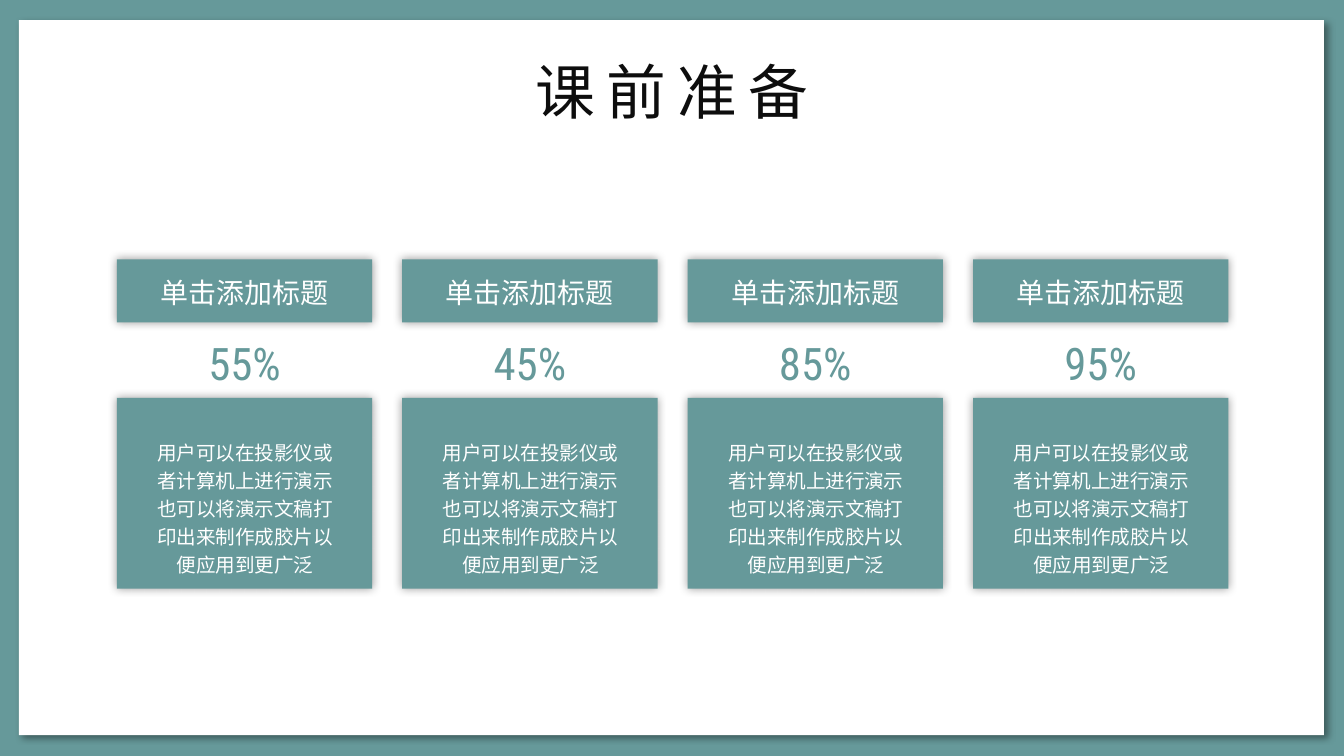
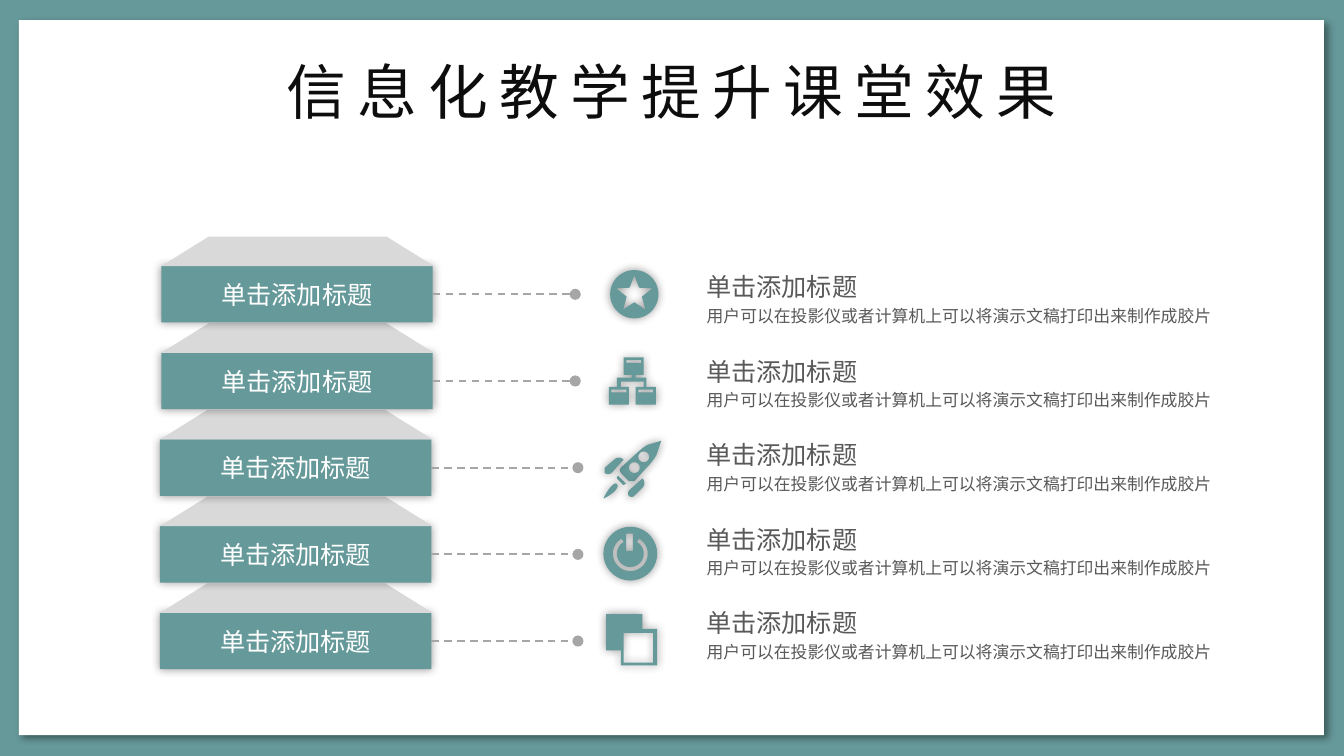
from dataclasses import dataclass
from math import cos, radians, sin
from typing import NamedTuple, Optional

from pptx import Presentation
from pptx.dml.color import RGBColor
from pptx.enum.dml import MSO_LINE
from pptx.enum.shapes import MSO_CONNECTOR, MSO_SHAPE
from pptx.enum.text import MSO_ANCHOR as Anchor, PP_ALIGN as Align
from pptx.oxml.ns import qn
from pptx.util import Inches, Pt
from lxml.etree import SubElement


@dataclass(frozen=True)
class Theme:
    teal: str = "66999A"
    white: str = "FFFFFF"
    ink: str = "0D0D0D"
    body: str = "595959"
    silver: str = "D9D9D9"
    line: str = "A6A6A6"
    cjk: str = "Noto Sans CJK SC"
    digits: str = "Roboto Condensed"
    title_size: float = 32
    figure_size: float = 24
    header_size: float = 15
    label_size: float = 13.5
    card_size: float = 10.5
    note_size: float = 9


class Area(NamedTuple):
    left: float
    top: float
    width: float
    height: float


class Style(NamedTuple):
    size: float
    color: str
    align: Align = Align.CENTER
    leading: Optional[float] = 1.2  # line height as a multiple of the type size
    font: str = Theme.cjk
    tracking: float = 0


class Shadow(NamedTuple):
    blur: float
    distance: float
    angle: int


class Step(NamedTuple):
    left: float
    line_end: float
    icon: list


THEME = Theme()
LOOSE = 1.43
TITLE = Style(THEME.title_size, THEME.ink, tracking=6)
HEADER = Style(THEME.header_size, THEME.white)
FIGURE = Style(THEME.figure_size, THEME.teal, leading=None, font=THEME.digits)
CARD_TEXT = Style(THEME.card_size, THEME.white, leading=LOOSE)
TILE_LABEL = Style(THEME.label_size, THEME.white)
STEP_LABEL = Style(THEME.label_size, THEME.body, Align.LEFT, LOOSE)
STEP_NOTE = Style(THEME.note_size, THEME.body, Align.LEFT, LOOSE)
PANEL_SHADOW = Shadow(4, 3, 45)
GLOW = Shadow(5, 0, 0)

LABEL = "单击添加标题"
CARD_BODY = "用户可以在投影仪或者计算机上进行演示也可以将演示文稿打印出来制作成胶片以便应用到更广泛"
NOTE_BODY = "用户可以在投影仪或者计算机上可以将演示文稿打印出来制作成胶片"
FIGURES = ("55%", "45%", "85%", "95%")
FIRST_CARD, LAST_CARD = 0.87, 7.24


def circle(x: float, y: float, radius: float, start: int = 0, stop: int = 360) -> list:
    """Points along an arc, in degrees clockwise from the top."""
    step = 10 if stop > start else -10
    return [(x + radius * sin(radians(a)), y - radius * cos(radians(a)))
            for a in range(start, stop + step // 10, step)]


def star(x: float, y: float, outer: float, inner: float) -> list:
    return [circle(x, y, inner if i % 2 else outer, 36 * i, 36 * i + 1)[0] for i in range(10)]


def rectangle(left: float, top: float, right: float, bottom: float) -> list:
    return [(left, top), (right, top), (right, bottom), (left, bottom)]


def curved(*nodes: tuple) -> list:
    """Flatten nodes: two numbers make a line, six a Bezier curve."""
    points = []
    for node in nodes:
        if len(node) == 2:
            points.append(node)
            continue
        controls = [points[-1], node[:2], node[2:4], node[4:]]
        for t in (i / 8 for i in range(1, 9)):
            weights = ((1 - t) ** 3, 3 * t * (1 - t) ** 2, 3 * t * t * (1 - t), t ** 3)
            points.append(tuple(sum(w * c[axis] for w, c in zip(weights, controls))
                                for axis in (0, 1)))
    return points


# Each icon is a list of shapes, and each shape a list of outlines.
STAR = [[circle(4.72, 2.19, 0.18), star(4.72, 2.19, 0.14, 0.06)]]
NETWORK = [[
    [(4.81, 2.88), (4.81, 2.81), (4.73, 2.81), (4.73, 2.79), (4.79, 2.79), (4.79, 2.66),
     (4.64, 2.66), (4.64, 2.79), (4.7, 2.79), (4.7, 2.81), (4.59, 2.81), (4.59, 2.88),
     (4.53, 2.88), (4.53, 3.01), (4.68, 3.01), (4.68, 2.88), (4.62, 2.88), (4.62, 2.84),
     (4.79, 2.84), (4.79, 2.88), (4.73, 2.88), (4.73, 3.01), (4.88, 3.01), (4.88, 2.88)],
    rectangle(4.55, 2.9, 4.66, 2.92),
    rectangle(4.66, 2.68, 4.77, 2.7),
    rectangle(4.75, 2.9, 4.86, 2.92),
]]
ROCKET = [
    [curved((4.82, 3.31), (4.8, 3.32, 4.76, 3.35, 4.74, 3.37), (4.62, 3.48),
            (4.61, 3.49, 4.61, 3.51, 4.62, 3.52), (4.68, 3.58),
            (4.69, 3.58, 4.71, 3.58, 4.72, 3.58), (4.83, 3.46),
            (4.85, 3.44, 4.88, 3.4, 4.89, 3.37), (4.92, 3.28)),
     circle(4.72, 3.48, 0.04), circle(4.79, 3.4, 0.04)],
    [curved((4.55, 3.52), (4.64, 3.42), (4.62, 3.4, 4.59, 3.4, 4.57, 3.42), (4.5, 3.48),
            (4.5, 3.49, 4.5, 3.51, 4.5, 3.52), (4.52, 3.53, 4.53, 3.53, 4.55, 3.52))],
    [curved((4.68, 3.65), (4.67, 3.67, 4.67, 3.68, 4.68, 3.69),
            (4.69, 3.7, 4.71, 3.7, 4.72, 3.69), (4.78, 3.63),
            (4.8, 3.61, 4.8, 3.58, 4.78, 3.56))],
    [curved((4.59, 3.55), (4.59, 3.56), (4.63, 3.6), (4.63, 3.61, 4.65, 3.61, 4.65, 3.6),
            (4.66, 3.6), (4.6, 3.54))],
    [curved((4.49, 3.71), (4.54, 3.69, 4.62, 3.63, 4.59, 3.6),
            (4.57, 3.58, 4.51, 3.66, 4.49, 3.71))],
]
POWER = [[circle(4.69, 4.12, 0.2), rectangle(4.66, 3.97, 4.71, 4.1),
          circle(4.69, 4.12, 0.13, 30, 330) + circle(4.69, 4.12, 0.1, 330, 30)]]
SQUARES = [[
    [(4.78, 4.68), (4.78, 4.57), (4.51, 4.57), (4.51, 4.84),
     (4.62, 4.84), (4.62, 4.95), (4.89, 4.95), (4.89, 4.68)],
    rectangle(4.64, 4.71, 4.86, 4.93),
]]

STEPS = [Step(1.2, 4.28, STAR), Step(1.2, 4.28, NETWORK), Step(1.19, 4.3, ROCKET),
         Step(1.19, 4.3, POWER), Step(1.19, 4.3, SQUARES)]
TOWER_HEIGHT = 2.58  # from the top tile to the bottom one
NOTES_HEIGHT = 2.5  # from the first note to the last one


def inches(values: tuple) -> list:
    return [Inches(value) for value in values]


def paint(shape, color: str, shadow: Optional[Shadow] = None) -> None:
    shape.fill.solid()
    shape.fill.fore_color.rgb = RGBColor.from_string(color)
    shape.line.fill.background()
    shape.shadow.inherit = False
    if shadow:
        effects = shape.element.spPr.find(qn("a:effectLst"))
        outer = SubElement(effects, qn("a:outerShdw"), {
            "blurRad": str(Pt(shadow.blur)), "dist": str(Pt(shadow.distance)),
            "dir": str(shadow.angle * 60000), "algn": "ctr", "rotWithShape": "0"})
        black = SubElement(outer, qn("a:srgbClr"), val="000000")
        SubElement(black, qn("a:alpha"), val="40000")


def add_block(shapes, area: Area, color: str = THEME.teal,
              shadow: Optional[Shadow] = GLOW, kind: MSO_SHAPE = MSO_SHAPE.RECTANGLE):
    block = shapes.add_shape(kind, *inches(area))
    paint(block, color, shadow)
    return block


def write(box, text: str, style: Style, **frame_format) -> None:
    for name, value in {"word_wrap": True, **frame_format}.items():
        setattr(box.text_frame, name, value)
    para = box.text_frame.paragraphs[0]
    para.alignment = style.align
    if style.leading:
        para.line_spacing = Pt(style.size * style.leading)
    span = para.add_run()
    span.text = text
    for name, value in {"size": Pt(style.size), "name": style.font}.items():
        setattr(span.font, name, value)
    span.font.color.rgb = RGBColor.from_string(style.color)
    for properties in box.element.iter(qn("a:rPr")):
        SubElement(properties, qn("a:ea"), typeface=style.font)
        if style.tracking:
            properties.set("spc", str(int(style.tracking * 100)))


def add_text(shapes, area: Area, text: str, style: Style, **frame_format) -> None:
    write(shapes.add_textbox(*inches(area)), text, style, **frame_format)


def add_outline(shapes, outlines: list) -> None:
    """One freeform; outlines after the first are cut out of it."""
    builder = None
    for outline in outlines:
        first, *rest = [inches(point) for point in outline]
        if builder is None:
            builder = shapes.build_freeform(*first, scale=1.0)
        else:
            builder.move_to(*first)
        builder.add_line_segments(rest, close=True)
    paint(builder.convert_to_shape(), THEME.teal, GLOW)


def add_leader(shapes, tile, end: float) -> None:
    """Dashed line with a dot, from the tile's right side to end."""
    middle = tile.top + tile.height // 2
    leader = shapes.add_connector(MSO_CONNECTOR.STRAIGHT, tile.left + tile.width, middle,
                                  Inches(end), middle)
    leader.begin_connect(tile, 3)
    for name, value in {"width": Pt(1), "dash_style": MSO_LINE.DASH}.items():
        setattr(leader.line, name, value)
    leader.line.color.rgb = RGBColor.from_string(THEME.line)
    SubElement(leader.element.spPr.find(qn("a:ln")), qn("a:tailEnd"), type="oval")
    SubElement(leader.element.spPr, qn("a:effectLst"))


def add_page(deck, title: str, width: float):
    page = deck.slides.add_slide(deck.slide_layouts[6])
    add_block(page.shapes, Area(0.14, 0.15, 9.71, 5.32), THEME.white, PANEL_SHADOW)
    add_text(page.shapes, Area(5 - width / 2, 0.37, width, 0.63), title, TITLE,
             margin_left=Inches(0.09), margin_right=Inches(0.09),
             margin_top=Inches(0.04), margin_bottom=Inches(0.04))
    return page


def add_card(page, left: float, figure: str) -> None:
    shapes = page.shapes.add_group_shape().shapes
    add_block(shapes, Area(left, 1.93, 1.9, 0.47))
    add_block(shapes, Area(left, 2.96, 1.9, 1.42))
    add_text(shapes, Area(left + 0.14, 3.2, 1.63, 1.16), CARD_BODY, CARD_TEXT)
    add_text(shapes, Area(left, 2.45, 1.9, 0.5), figure, FIGURE)
    add_text(shapes, Area(left, 2, 1.9, 0.35), LABEL, HEADER)


def add_tower(page) -> list:
    """Stack the tiles from the bottom up; return them from the top down."""
    tiles = []
    for index, step in reversed(list(enumerate(STEPS))):
        top = 1.98 + index * TOWER_HEIGHT / (len(STEPS) - 1)
        tile = add_block(page.shapes, Area(step.left, top, 2.02, 0.42))
        write(tile, LABEL, TILE_LABEL, vertical_anchor=Anchor.MIDDLE)
        roof = add_block(page.shapes, Area(step.left, top - 0.22, 2.03, 0.22),
                         THEME.silver, None, MSO_SHAPE.TRAPEZOID)
        roof.adjustments[0] = 1.61
        tiles.insert(0, tile)
    return tiles


def add_step(page, index: int, step: Step, tile) -> None:
    shapes = page.shapes
    icon_shapes = shapes.add_group_shape().shapes if len(step.icon) > 1 else shapes
    for outlines in step.icon:
        add_outline(icon_shapes, outlines)
    add_leader(shapes, tile, step.line_end)
    drop = index * NOTES_HEIGHT / (len(STEPS) - 1)
    notes = shapes.add_group_shape().shapes
    add_text(notes, Area(5.16, 2.2 + drop, 4.37, 0.27), NOTE_BODY, STEP_NOTE)
    add_text(notes, Area(5.16, 1.93 + drop, 1.71, 0.35), LABEL, STEP_LABEL)


def main() -> None:
    deck = Presentation()
    deck.slide_width = Inches(10)
    deck.slide_height = deck.slide_width * 9 // 16
    backdrop = deck.slide_master.background.fill
    backdrop.solid()
    backdrop.fore_color.rgb = RGBColor.from_string(THEME.teal)

    preparation = add_page(deck, "课前准备", 4.66)
    card_pitch = (LAST_CARD - FIRST_CARD) / (len(FIGURES) - 1)
    for index, figure in enumerate(FIGURES):
        add_card(preparation, FIRST_CARD + card_pitch * index, figure)

    improvement = add_page(deck, "信息化教学提升课堂效果", 6.03)
    for index, (step, tile) in enumerate(zip(STEPS, add_tower(improvement))):
        add_step(improvement, index, step, tile)

    deck.save("out.pptx")


if __name__ == "__main__":
    main()
